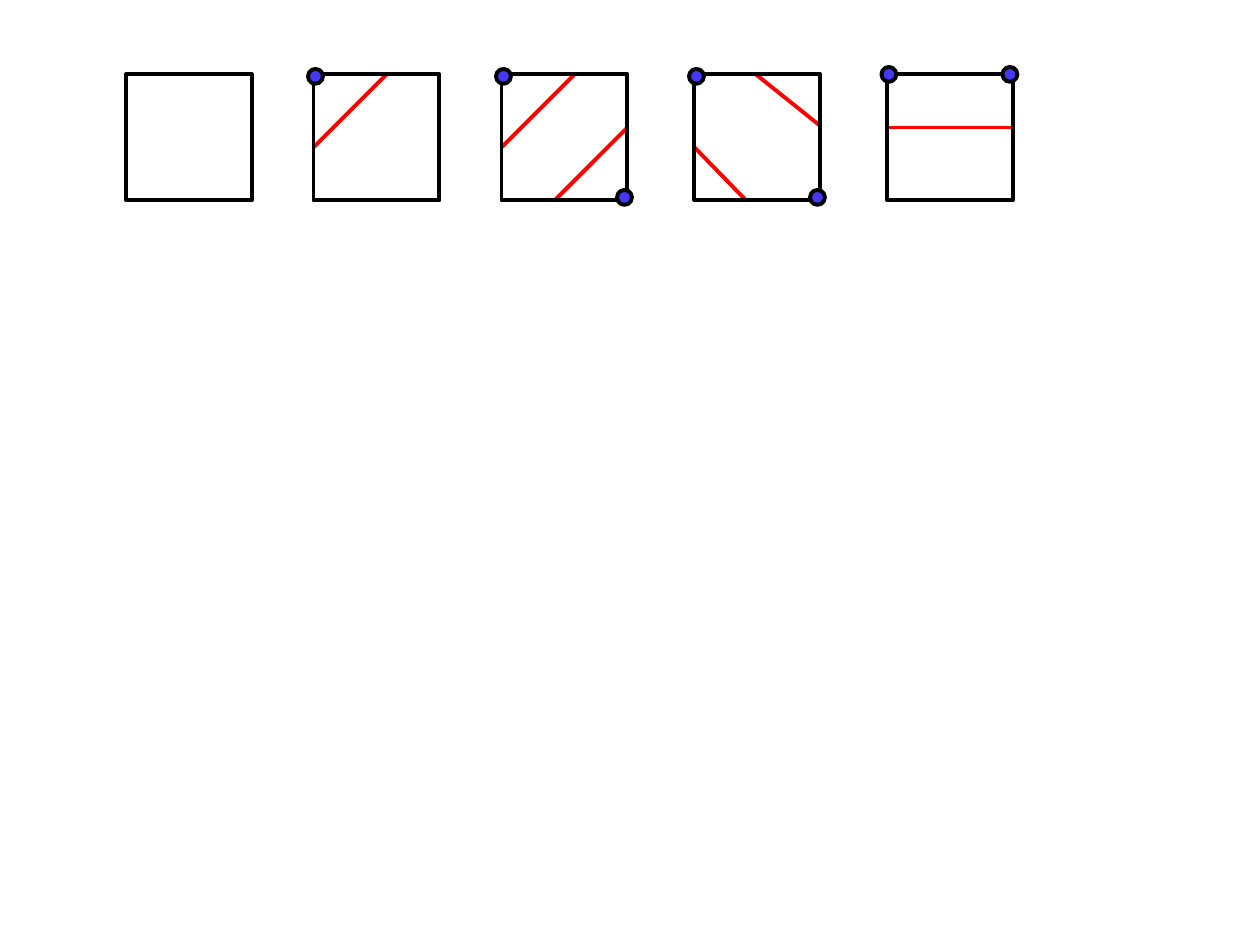
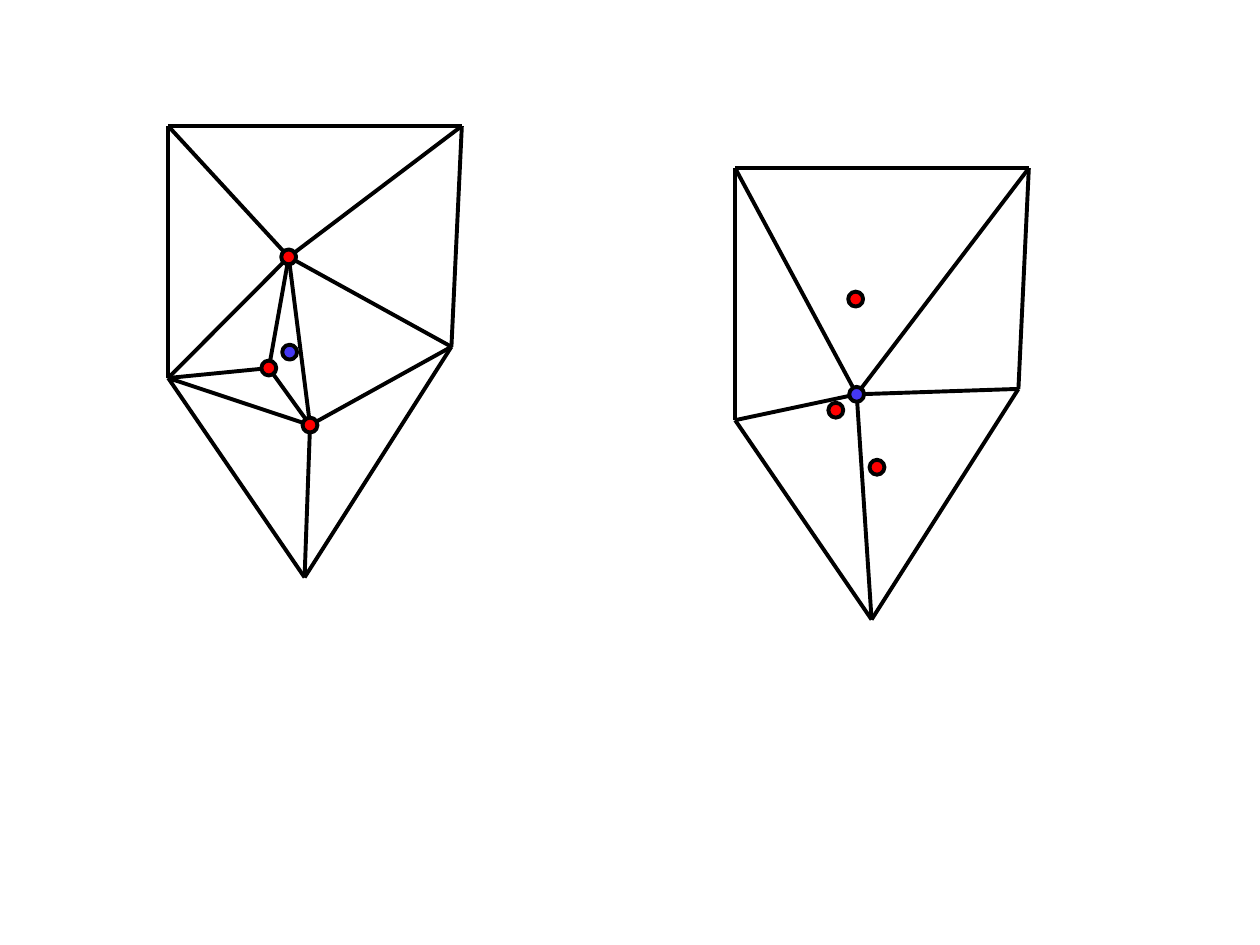
from dataclasses import dataclass

from lxml import etree
from pptx import Presentation
from pptx import util as u
from pptx.dml.color import RGBColor
from pptx.enum import shapes
from pptx.oxml.ns import qn


@dataclass(frozen=True)
class Theme:
    black: RGBColor = RGBColor(0x00, 0x00, 0x00)
    red: RGBColor = RGBColor(0xFF, 0x00, 0x00)
    blue: RGBColor = RGBColor(0x45, 0x38, 0xF4)
    stroke: float = 2.25   # points
    dot: float = 0.3       # cm
    cell: float = 2.54     # cm


T = Theme()

# Slide 1: cells with corner dots and contour segments, in cm from the cell corner
CELL_TOP = 1.5
NEAR, FAR = 0.04, T.cell - 0.06
TOP_LEFT, BOTTOM_RIGHT = (NEAR, NEAR), (FAR, FAR)
CUT_TOP_LEFT = ((1.47, 0), (0, 1.47))
CELLS = [  # left, segments, dots
    (2.54, [], []),
    (6.32, [CUT_TOP_LEFT], [TOP_LEFT]),
    (10.11, [CUT_TOP_LEFT, ((T.cell, 1.07), (1.07, T.cell))],
     [TOP_LEFT, BOTTOM_RIGHT]),
    (14, [((1.04, T.cell), (0, 1.47)), ((T.cell, 1.04), (1.24, 0))],
     [TOP_LEFT, BOTTOM_RIGHT]),
    (17.88, [((0, 1.07), (T.cell, 1.07))], [(NEAR, 0), (FAR, 0)]),
]

# Slide 2: mesh vertices in cm; the second mesh is the first one moved
VERTICES = {
    "top left": (3.39, 2.54),
    "top right": (9.31, 2.54),
    "right": (9.1, 6.99),
    "bottom": (6.14, 11.64),
    "left": (3.39, 7.62),
    "upper": (5.82, 5.18),
    "middle": (5.42, 7.42),
    "lower": (6.25, 8.57),
    "merged": (5.84, 7.1),
}
OUTLINE = ["top left", "top right", "right", "bottom", "left"]
INNER = ["upper", "middle", "lower"]
FULL_EDGES = [
    *(("upper", v) for v in ("top left", "top right", "right", "left")),
    *(("lower", v) for v in ("left", "right", "bottom")),
    ("middle", "left"),
    ("upper", "middle"), ("upper", "lower"), ("middle", "lower"),
]
MERGED_EDGES = [("merged", v) for v in OUTLINE]
MERGED_OFFSET = (11.43, 0.85)


def shift(point, offset):
    return point[0] + offset[0], point[1] + offset[1]


def add_line(parent, start, end, color):
    ln = parent.add_connector(shapes.MSO_CONNECTOR.STRAIGHT,
                              *(u.Cm(v) for v in (*start, *end)))
    ln.line.color.rgb = color
    ln.line.width = u.Pt(T.stroke)
    etree.SubElement(ln._element.spPr, qn("a:effectLst"))


def add_outlined(parent, kind, left, top, size, fill=None):
    sp = parent.add_shape(kind, *(u.Cm(v) for v in (left, top, size, size)))
    sp.shadow.inherit = False
    sp.line.color.rgb = T.black
    sp.line.width = u.Pt(T.stroke)
    if fill is None:
        sp.fill.background()
    else:
        sp.fill.solid()
        sp.fill.fore_color.rgb = fill


def add_dot(parent, center, fill):
    left, top = shift(center, (-T.dot / 2, -T.dot / 2))
    add_outlined(parent, shapes.MSO_SHAPE.OVAL, left, top, T.dot, fill)


def add_cell(s, left, segments, dots):
    """Square crossed by contour segments, with its marked corners."""
    parent = s.shapes.add_group_shape().shapes if dots else s.shapes
    corner = (left, CELL_TOP)
    for start, end in segments:
        add_line(parent, shift(start, corner), shift(end, corner), T.red)
    add_outlined(parent, shapes.MSO_SHAPE.RECTANGLE, *corner, T.cell)
    for dot in dots:
        add_dot(parent, shift(dot, corner), T.blue)


def add_mesh(s, inner_edges, offset=(0, 0)):
    """Outline and inner edges, then the inner vertices above them."""
    at = {name: shift(point, offset) for name, point in VERTICES.items()}
    outline_edges = list(zip(OUTLINE, OUTLINE[1:] + OUTLINE[:1]))
    for a, b in inner_edges + outline_edges:
        add_line(s.shapes, at[a], at[b], T.black)
    for name in INNER:
        add_dot(s.shapes, at[name], T.red)
    add_dot(s.shapes, at["merged"], T.blue)


def main():
    prs = Presentation()
    prs.slide_width, prs.slide_height = u.Cm(25.4), u.Cm(19.05)
    blank = prs.slide_layouts[6]

    # Slide 1: row of cell cases
    s = prs.slides.add_slide(blank)
    for cell in CELLS:
        add_cell(s, *cell)

    # Slide 2: full mesh beside the merged mesh
    s = prs.slides.add_slide(blank)
    add_mesh(s, FULL_EDGES)
    add_mesh(s, MERGED_EDGES, MERGED_OFFSET)

    prs.save("out.pptx")


if __name__ == "__main__":
    main()
